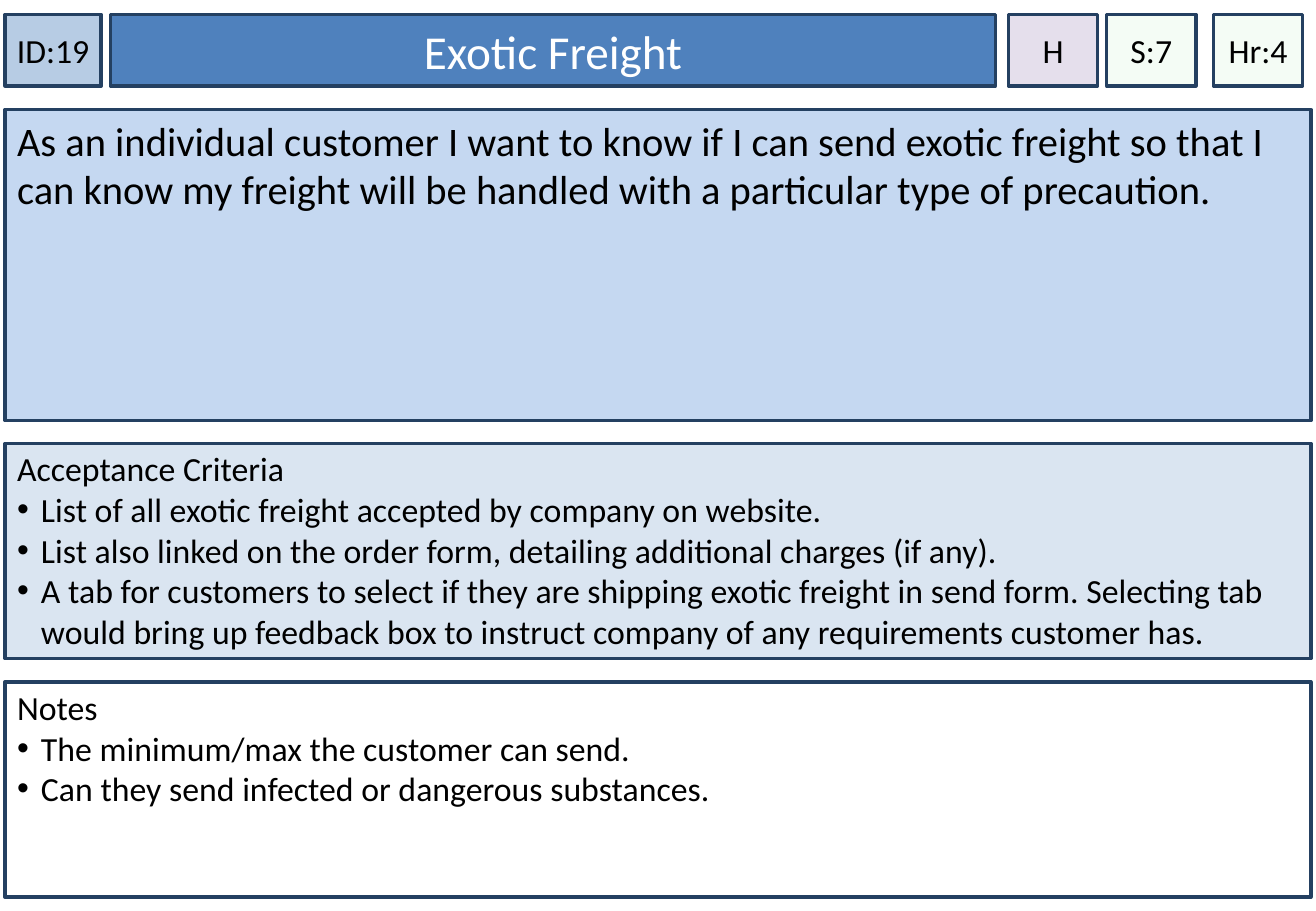
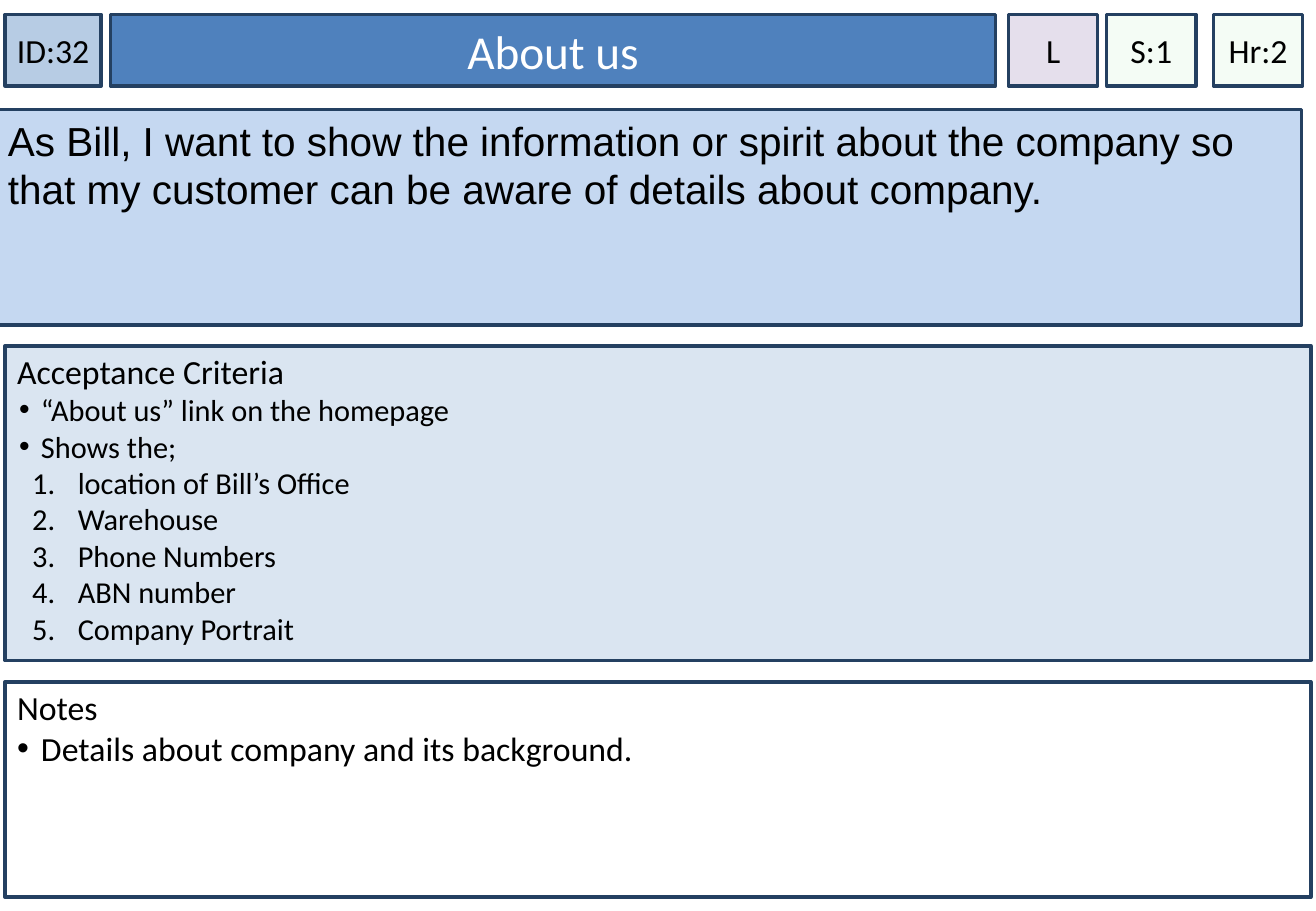
from lxml.etree import SubElement
from pptx import Presentation
from pptx.dml.color import RGBColor
from pptx.enum.shapes import MSO_SHAPE
from pptx.enum.text import MSO_ANCHOR, PP_ALIGN
from pptx.oxml.ns import qn
from pptx.util import Pt

COLORS = {
    "ink": "000000", "title_ink": "FFFFFF", "border": "244061",
    "id": "B7CCE4", "title": "4F81BD", "priority": "E5DFEC", "estimate": "CCF0CD",
    "story": "C5D8F1", "criteria": "DAE5F1", "notes": "FFFFFF",
}
ESTIMATE_OPACITY = 20

CARDS = [
    {
        "id": "ID:19", "title": "Exotic Freight",
        "priority": "H", "size": "S:7", "hours": "Hr:4",
        "story": "As an individual customer I want to know if I can send exotic freight "
                 "so that I can know my freight will be handled with a particular type of precaution.",
        "story_font": "Calibri", "story_left": 3, "story_height": 184.3,
        "criteria_top": 262.8, "criteria_height": 127.6,
        "criteria_size": 20, "criteria_hang": 14.2,
        "criteria": [
            ("bullet", "List of all exotic freight accepted by company on website."),
            ("bullet", "List also linked on the order form, detailing additional charges (if any)."),
            ("bullet", "A tab for customers to select if they are shipping exotic freight in send form. "
                       "Selecting tab would bring up feedback box to instruct company of any "
                       "requirements customer has."),
        ],
        "notes": [
            ("bullet", "The minimum/max the customer can send."),
            ("bullet", "Can they send infected or dangerous substances."),
        ],
    },
    {
        "id": "ID:32", "title": "About us",
        "priority": "L", "size": "S:1", "hours": "Hr:2",
        "story": "As Bill, I want to show the information or spirit about the company "
                 "so that my customer can be aware of details about company.",
        "story_font": "Arial", "story_left": -2.4, "story_height": 127.6,
        "criteria_top": 205, "criteria_height": 186.5,
        "criteria_size": 18, "criteria_hang": 13,
        "criteria": [
            ("bullet", "“About us” link on the homepage"),
            ("bullet", "Shows the;"),
            ("number", "location of Bill’s Office"),
            ("number", "Warehouse"),
            ("number", "Phone Numbers"),
            ("number", "ABN number"),
            ("number", "Company Portrait"),
        ],
        "notes": [("bullet", "Details about company and its background.")],
    },
]

HEADER_TOP, HEADER_HEIGHT = 8.5, 42.5
HEADER = [
    ("id", "id", 3, 57, 0),
    ("title", "title", 65.5, 524.5, 7.2),
    ("priority", "priority", 597.8, 52.8, 0),
    ("size", "estimate", 656, 52.8, 0),
    ("hours", "estimate", 719.3, 52.8, 0),
]
PANEL_LEFT, PANEL_WIDTH = 3, 774
STORY_TOP = 65
NOTES_TOP, NOTES_HEIGHT = 404.2, 127.6
BULLET_HANG = 14.2
MARKS = {
    "bullet": (14.2, "a:buChar", {"char": "•"}),
    "number": (36, "a:buAutoNum", {"type": "arabicPeriod"}),
}
NUMBER_HANG = 27


def add_box(slide, left, top, width, height, fill, inset=7.2, inset_top=3.6,
            anchor=MSO_ANCHOR.TOP):
    box = slide.shapes.add_shape(MSO_SHAPE.RECTANGLE, Pt(left), Pt(top), Pt(width), Pt(height))
    box.shadow.inherit = False
    box.fill.solid()
    box.fill.fore_color.rgb = RGBColor.from_string(COLORS[fill])
    if fill == "estimate":
        tint = box.fill._xPr.find(qn("a:solidFill"))[0]
        SubElement(tint, qn("a:alpha"), val=str(ESTIMATE_OPACITY * 1000))
    box.line.color.rgb = RGBColor.from_string(COLORS["border"])
    box.line.width = Pt(2)
    frame = box.text_frame
    frame.word_wrap = True
    frame.vertical_anchor = anchor
    frame.margin_left = frame.margin_right = Pt(inset)
    frame.margin_top, frame.margin_bottom = Pt(inset_top), Pt(3.6)
    return frame


def write(paragraph, text, size, align=PP_ALIGN.LEFT, ink="ink", font="Calibri"):
    paragraph.text = text
    paragraph.alignment = align
    paragraph.font.size = Pt(size)
    paragraph.font.name = font
    paragraph.font.color.rgb = RGBColor.from_string(COLORS[ink])


def mark(paragraph, kind, hang):
    indent, tag, attributes = MARKS[kind]
    properties = paragraph._p.get_or_add_pPr()
    properties.set("marL", str(Pt(indent)))
    properties.set("indent", str(-Pt(hang)))
    color = SubElement(properties, qn("a:buClr"))
    SubElement(color, qn("a:srgbClr"), val=COLORS["ink"])
    SubElement(properties, qn("a:buFont"), typeface="Arial" if kind == "bullet" else "Calibri")
    SubElement(properties, qn(tag), attributes)


def add_list_panel(slide, heading, items, top, height, fill, size=20, hang=BULLET_HANG):
    frame = add_box(slide, PANEL_LEFT, top, PANEL_WIDTH, height, fill, inset_top=2.9)
    write(frame.paragraphs[0], heading, 20)
    for kind, text in items:
        paragraph = frame.add_paragraph()
        mark(paragraph, kind, NUMBER_HANG if kind == "number" else hang)
        write(paragraph, text, size)


def add_card(deck, card):
    slide = deck.slides.add_slide(deck.slide_layouts[6])
    for part, fill, left, width, inset in HEADER:
        frame = add_box(slide, left, HEADER_TOP, width, HEADER_HEIGHT, fill, inset,
                        anchor=MSO_ANCHOR.MIDDLE)
        is_title = part == "title"
        write(frame.paragraphs[0], card[part], 28 if is_title else 20, PP_ALIGN.CENTER,
              "title_ink" if is_title else "ink")
    story = add_box(slide, card["story_left"], STORY_TOP, PANEL_WIDTH, card["story_height"], "story")
    write(story.paragraphs[0], card["story"], 24, font=card["story_font"])
    add_list_panel(slide, "Acceptance Criteria", card["criteria"], card["criteria_top"],
                   card["criteria_height"], "criteria", card["criteria_size"], card["criteria_hang"])
    add_list_panel(slide, "Notes", card["notes"], NOTES_TOP, NOTES_HEIGHT, "notes")


def main():
    deck = Presentation()
    deck.slide_width, deck.slide_height = Pt(780), Pt(540)
    for card in CARDS:
        add_card(deck, card)
    deck.save("out.pptx")


if __name__ == "__main__":
    main()
